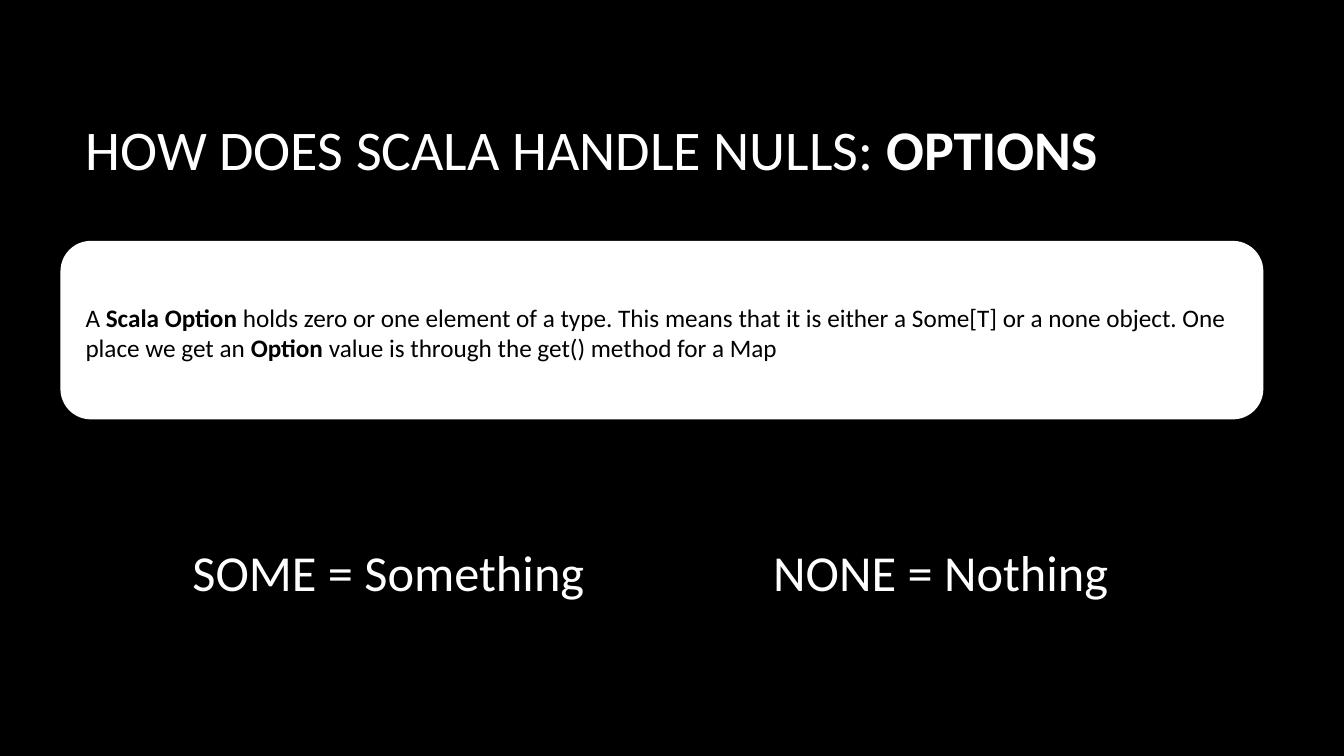
"""Build the slide on how Scala handles nulls with options."""
from dataclasses import dataclass

from pptx import Presentation
from pptx.dml.color import RGBColor
from pptx.enum.shapes import MSO_SHAPE as Shape
from pptx.enum.text import MSO_ANCHOR as Anchor, MSO_AUTO_SIZE as Auto, PP_ALIGN as Align
from pptx.text.text import TextFrame
from pptx.util import Inches, Pt

BLACK = "000000"
WHITE = "FFFFFF"


@dataclass
class Run:
    text: str
    bold: bool = False


@dataclass
class Case:
    text: str
    left: float
    width: float


TITLE = [Run("HOW DOES SCALA HANDLE NULLS: "), Run("OPTIONS", True)]
BODY = [
    Run("A "),
    Run("Scala Option", True),
    Run(" holds zero or one element of a type. This means that it is either "
        "a Some[T] or a none object. One place we get an "),
    Run("Option", True),
    Run(" value is through the get() method for a Map"),
]
CASES = [Case("SOME = Something", 1.81, 4.13), Case("NONE = Nothing", 7.57, 3.56)]


def paint(target, color: str) -> None:
    target.rgb = RGBColor.from_string(color)


def fill(target, color: str) -> None:
    target.solid()
    paint(target.fore_color, color)


def write(frame: TextFrame, runs: list[Run], size: int, color: str,
          anchor: Anchor, wrap: bool = True) -> None:
    frame.auto_size = Auto.NONE if wrap else Auto.SHAPE_TO_FIT_TEXT
    frame.word_wrap = wrap
    frame.vertical_anchor = anchor
    para = frame.paragraphs[0]
    para.alignment = Align.LEFT
    for part in runs:
        run = para.add_run()
        run.text = part.text
        run.font.name = "Calibri"
        run.font.size = Pt(size)
        run.font.bold = part.bold
        paint(run.font.color, color)


def main() -> None:
    deck = Presentation()
    deck.slide_width, deck.slide_height = Inches(13.33), Inches(7.5)
    slide = deck.slides.add_slide(deck.slide_layouts[5])
    fill(slide.background.fill, BLACK)
    shapes = slide.shapes

    title = shapes.title
    title.left, title.top = Inches(0.75), Inches(0.67)
    title.width, title.height = Inches(11.08), Inches(1.59)
    write(title.text_frame, TITLE, 40, WHITE, Anchor.MIDDLE)

    card = shapes.add_shape(Shape.ROUNDED_RECTANGLE, Inches(0.61), Inches(2.4),
                            Inches(11.91), Inches(1.75))
    card.shadow.inherit = False
    fill(card.fill, WHITE)
    fill(card.line.fill, WHITE)
    card.line.width = Pt(1.5)

    body = shapes.add_textbox(Inches(0.75), Inches(2.46), Inches(11.64), Inches(1.19))
    fill(body.fill, WHITE)
    write(body.text_frame, BODY, 18, BLACK, Anchor.BOTTOM)

    for case in CASES:
        box = shapes.add_textbox(Inches(case.left), Inches(5.32),
                                 Inches(case.width), Inches(0.71))
        write(box.text_frame, [Run(case.text)], 36, WHITE, Anchor.TOP, wrap=False)

    deck.save("out.pptx")


if __name__ == "__main__":
    main()
